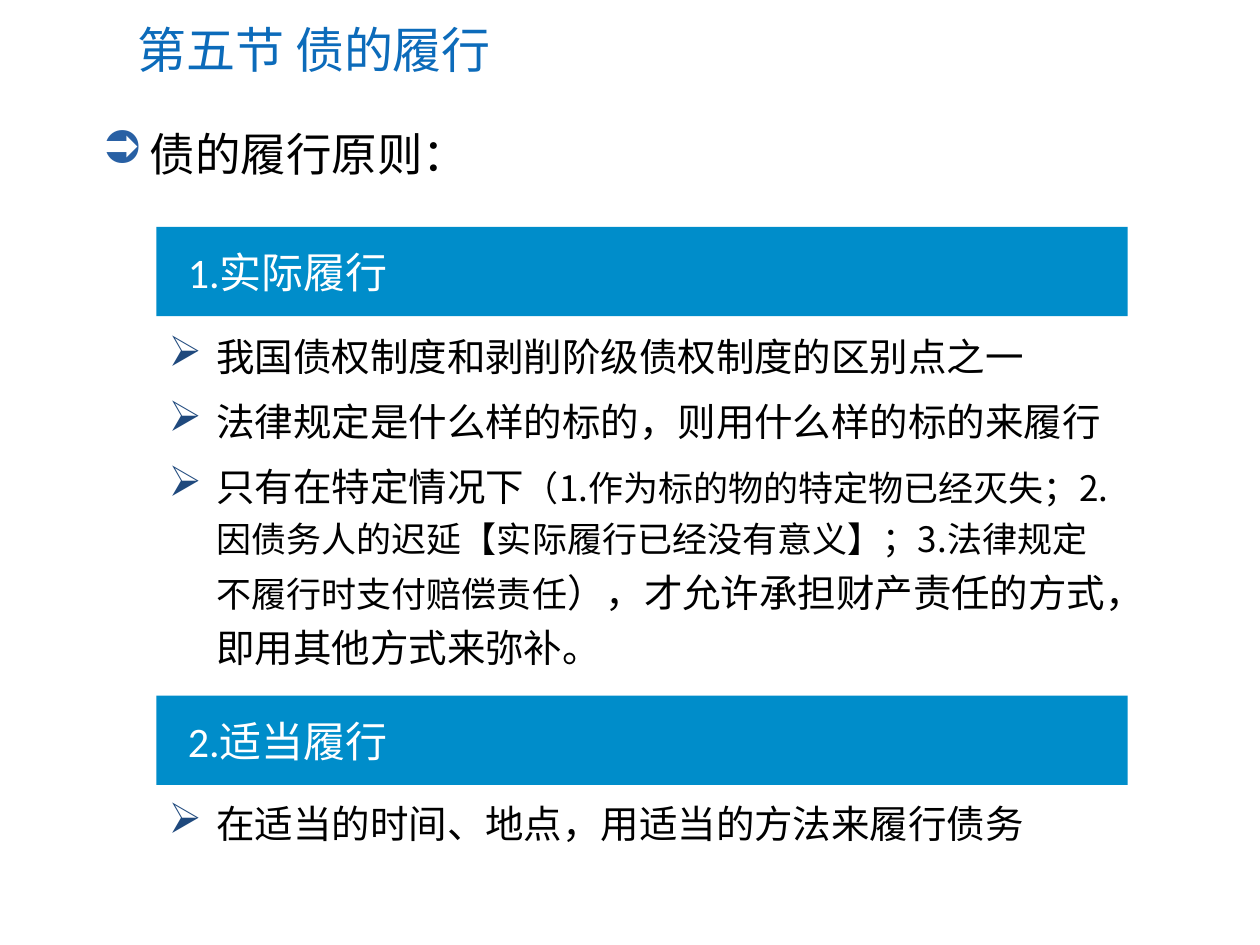
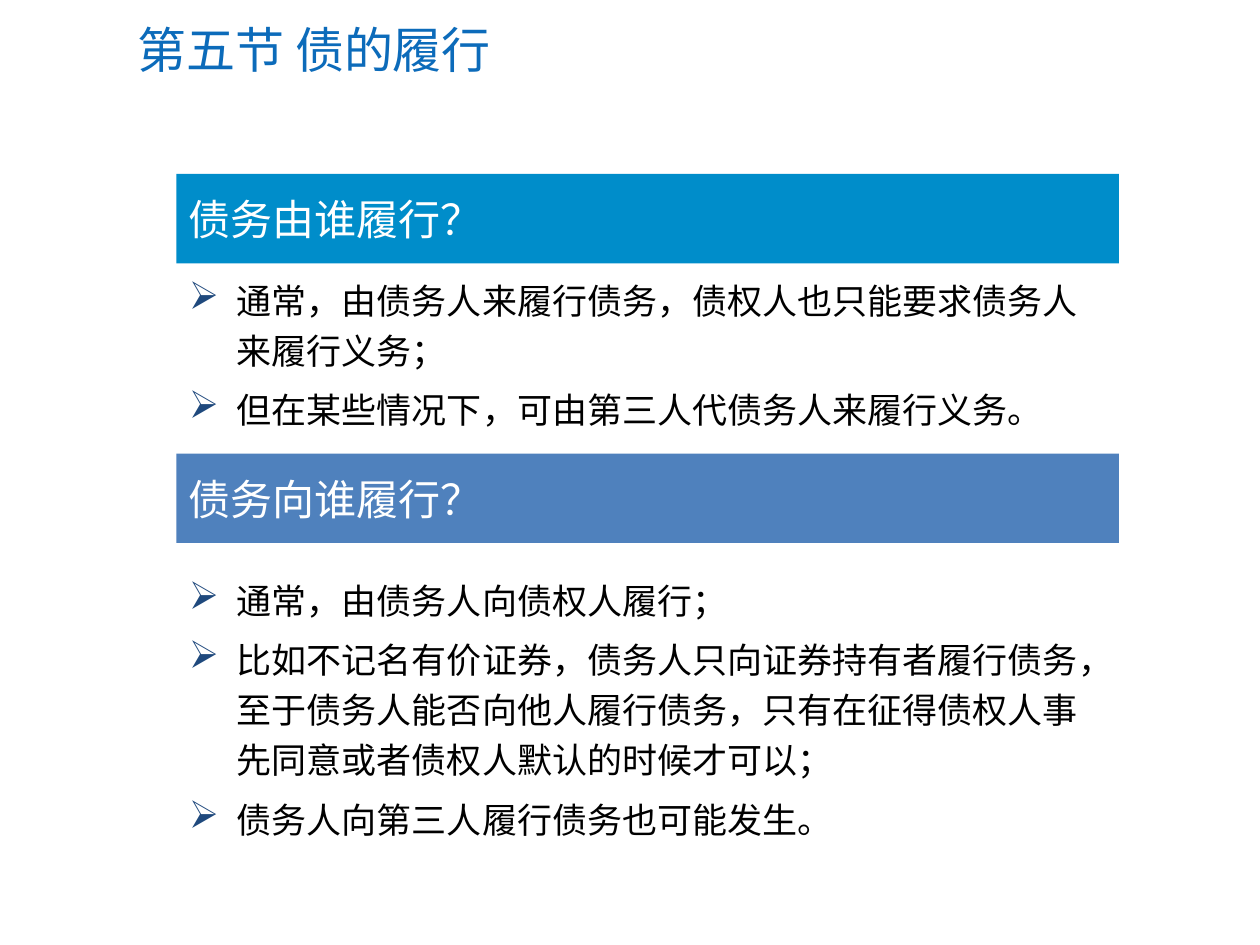
from lxml import etree
from pptx import Presentation
from pptx.dml.color import RGBColor
from pptx.enum import shapes, text
from pptx.oxml import ns
from pptx.util import Inches, Pt

COLORS = {
    "title": "0C6BBA",
    "banner": "008DCA",
    "banner_alt": "4F81BD",
    "lead_bullet": "2860A4",
    "bullet": "1F497D",
    "body": "000000",
    "white": "FFFFFF",
}
LATIN, CHINESE = "Calibri", "Noto Sans CJK SC"
HANGING = Inches(0.38)
BANNER_HEIGHT = 0.71
SECTION_TITLE = "第五节 债的履行"


def color(name):
    return RGBColor.from_string(COLORS[name])


def add_span(para, words, size, color_name, font=LATIN):
    span = para.add_run()
    span.text = words
    span.font.size = Pt(size)
    span.font.name = font
    span.font.color.rgb = color(color_name)
    east_asian = etree.SubElement(span.font._element, ns.qn("a:ea"))
    east_asian.set("typeface", CHINESE)


def set_bullet(para, char, color_name, percent=100):
    properties = para._p.get_or_add_pPr()
    properties.set("marL", str(HANGING))
    properties.set("indent", str(-HANGING))
    fill = etree.SubElement(properties, ns.qn("a:buClr"))
    etree.SubElement(fill, ns.qn("a:srgbClr")).set("val", COLORS[color_name])
    size = etree.SubElement(properties, ns.qn("a:buSzPct"))
    size.set("val", str(percent * 1000))
    etree.SubElement(properties, ns.qn("a:buChar")).set("char", char)


def add_page(deck):
    """Add a title-only page with the section title."""
    page = deck.slides.add_slide(deck.slide_layouts[5])
    title = page.shapes.title
    title.left, title.top = Inches(0.99), Inches(0.1)
    title.width, title.height = Inches(8.72), Inches(0.58)
    frame = title.text_frame
    frame.auto_size = text.MSO_AUTO_SIZE.NONE
    frame.vertical_anchor = text.MSO_ANCHOR.MIDDLE
    para = frame.paragraphs[0]
    para.alignment = text.PP_ALIGN.LEFT
    add_span(para, SECTION_TITLE, 28, "title")
    return page


def add_text_frame(page, left, top, width, height):
    box = page.shapes.add_textbox(
        Inches(left), Inches(top), Inches(width), Inches(height))
    box.text_frame.word_wrap = True
    return box.text_frame


def add_lead(page, words):
    para = add_text_frame(page, 0.71, 0.95, 9, 0.59).paragraphs[0]
    set_bullet(para, "➲", "lead_bullet")
    add_span(para, words, 26, "body")


def add_banner(page, words, left, top, width, fill="banner", inset=0.1):
    banner = page.shapes.add_shape(
        shapes.MSO_SHAPE.RECTANGLE, Inches(left), Inches(top),
        Inches(width), Inches(BANNER_HEIGHT))
    banner.shadow.inherit = False
    banner.fill.solid()
    banner.fill.fore_color.rgb = color(fill)
    banner.line.fill.background()
    frame = banner.text_frame
    frame.margin_left = Inches(inset)
    frame.vertical_anchor = text.MSO_ANCHOR.MIDDLE
    para = frame.paragraphs[0]
    para.alignment = text.PP_ALIGN.LEFT
    add_span(para, words, 24, "white")


def add_points(page, points, left, top, width, height, size):
    """Add bulleted points, each a list of (words, size) spans or a string."""
    frame = add_text_frame(page, left, top, width, height)
    for index, point in enumerate(points):
        para = frame.add_paragraph() if index else frame.paragraphs[0]
        set_bullet(para, "➢", "bullet", 110)
        para.line_spacing = 1.2
        if index:
            para.space_before = Pt(size / 4)
        spans = [(point, size)] if isinstance(point, str) else point
        for words, span_size in spans:
            add_span(para, words, span_size, "body", CHINESE)


def build_principles(deck):
    page = add_page(deck)
    left, width, size = 1.24, 7.71, 22
    add_banner(page, "1.实际履行", left, 1.8, width, inset=0.25)
    add_points(page, [
        "我国债权制度和剥削阶级债权制度的区别点之一",
        "法律规定是什么样的标的，则用什么样的标的来履行",
        [("只有在特定情况下", size),
         ("（1.作为标的物的特定物已经灭失；2.因债务人的迟延"
          "【实际履行已经没有意义】；3.法律规定不履行时支付赔偿责任", 20),
         ("），才允许承担财产责任的方式，即用其他方式来弥补。", size)],
    ], left, 2.52, width, 2.85, size)
    add_banner(page, "2.适当履行", left, 5.52, width, inset=0.25)
    add_points(page, ["在适当的时间、地点，用适当的方法来履行债务"],
               left, 6.23, width, 0.54, size)
    add_lead(page, "债的履行原则：")


def build_parties(deck):
    page = add_page(deck)
    left, width, size = 1.4, 7.48, 20
    add_banner(page, "债务由谁履行？", left, 1.38, width)
    add_points(page, [
        "通常，由债务人来履行债务，债权人也只能要求债务人来履行义务；",
        "但在某些情况下，可由第三人代债务人来履行义务。",
    ], left, 2.1, width, 1.37, size)
    add_banner(page, "债务向谁履行？", left, 3.6, width, "banner_alt")
    add_points(page, [
        "通常，由债务人向债权人履行；",
        "比如不记名有价证券，债务人只向证券持有者履行债务，至于债务人能否"
        "向他人履行债务，只有在征得债权人事先同意或者债权人默认的时候才可以；",
        "债务人向第三人履行债务也可能发生。",
    ], left, 4.48, width, 2.24, size)


def main():
    deck = Presentation()
    deck.slide_width, deck.slide_height = Inches(10), Inches(7.5)
    build_principles(deck)
    build_parties(deck)
    deck.save("out.pptx")


if __name__ == "__main__":
    main()
